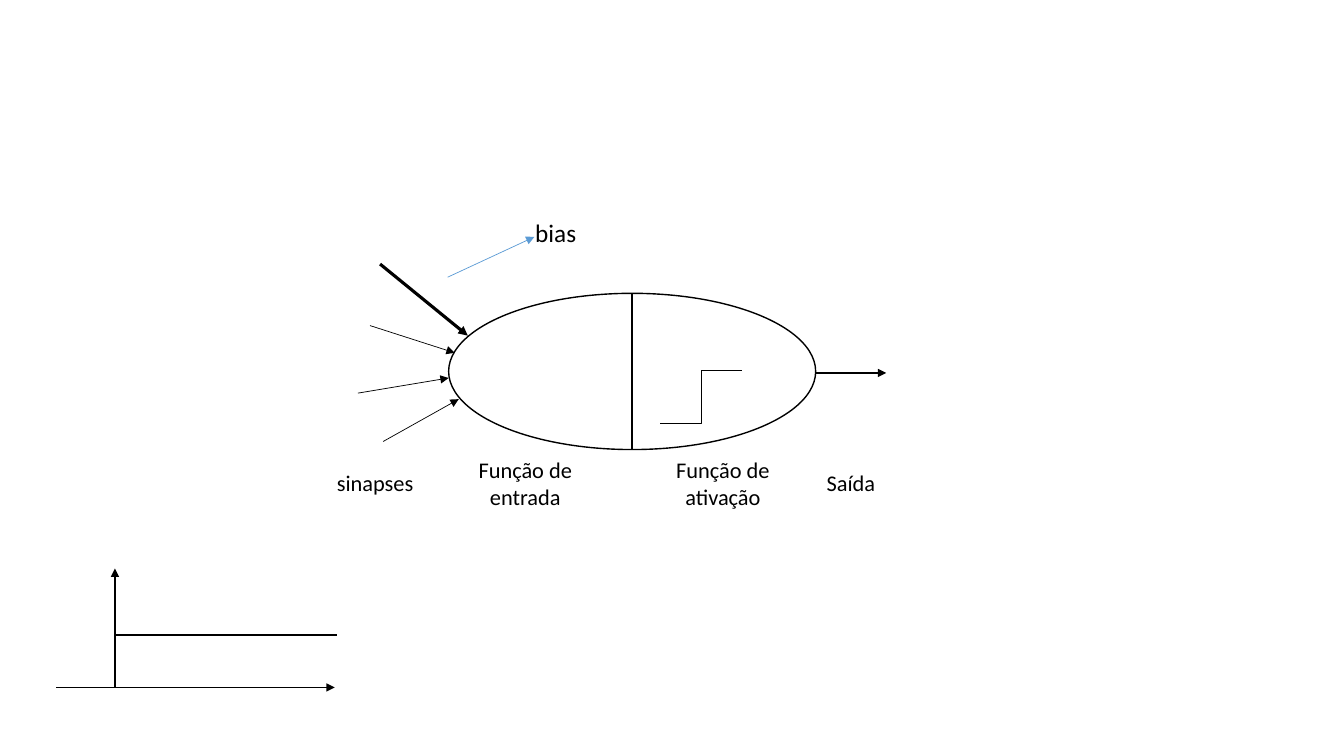
from pptx import Presentation
from pptx import util as u
from pptx.dml.color import RGBColor
from pptx.enum import shapes, text
from pptx.oxml.ns import qn
from lxml import etree

WIDE, HIGH = u.Inches(13.33), u.Inches(7.5)
CELL = HIGH / 75
BLACK, BLUE = "000000", "5B9BD5"
LINE, ELBOW = shapes.MSO_CONNECTOR.STRAIGHT, shapes.MSO_CONNECTOR.ELBOW


def color(code):
    return RGBColor.from_string(code)


def place(box, col, row):
    return round((box[0] + col) * CELL), round((box[1] + row) * CELL)


def link(page, box, start, end, width, tip=True, tint=BLACK, kind=LINE):
    line = page.shapes.add_connector(kind, *place(box, *start), *place(box, *end))
    line.line.width = u.Pt(width)
    line.line.color.rgb = color(tint)
    if tip:
        etree.SubElement(line.line._get_or_add_ln(), qn("a:tailEnd"), type="triangle")
    etree.SubElement(line._element.spPr, qn("a:effectLst"))


def label(page, box, words, col, row, wide, high, size=16, align=text.PP_ALIGN.CENTER):
    frame = page.shapes.add_textbox(
        *place(box, col, row), round(wide * CELL), round(high * CELL)).text_frame
    frame.word_wrap = True
    frame.text = words
    para = frame.paragraphs[0]
    para.alignment = align
    font = para.runs[0].font
    font.name, font.size = "Calibri", u.Pt(size)
    font.color.rgb = color(BLACK)


def neuron(page, box):
    left, top, wide, high = 13.6, 8, 36.4, 15.5
    mid, base = left + wide / 2, top + high
    cell = page.shapes.add_shape(
        shapes.MSO_SHAPE.OVAL, *place(box, left, top),
        round(wide * CELL), round(high * CELL))
    cell.shadow.inherit = False
    cell.fill.background()
    cell.line.color.rgb = color(BLACK)
    cell.line.width = u.Pt(1)
    link(page, box, (mid, top), (mid, base), 1, tip=False)

    for words, col, row, span, tall in (
            ("Função de entrada", 12.6, 23.7, 17.2, 6.4),
            ("Função de ativação", 31.7, 23.7, 18.2, 6.4),
            ("Saída", 47.7, 25, 11.6, 3.7),
            ("sinapses", 0, 25, 12.6, 3.7)):
        label(page, box, words, col, row, span, tall)

    for start, end, width in (
            ((6.8, 5.1), (15.5, 12.2), 2.25),
            ((5.8, 11.2), (14.2, 13.9), 0.5),
            ((4.6, 17.9), (13.6, 16.4), 0.5),
            ((7.1, 22.7), (14.6, 18.5), 0.5),
            ((left + wide, 15.9), (57, 15.9), 1.5)):
        link(page, box, start, end, width)

    link(page, box, (34.6, 20.9), (42.7, 15.6), 0.5, tip=False, kind=ELBOW)
    link(page, box, (13.5, 6.4), (22.1, 2.4), 0.5, tint=BLUE)
    label(page, box, "bias", 21.2, 0, 7.8, 4, 18, text.PP_ALIGN.LEFT)


def graph(page, box):
    wide, high = box[2:]
    zero, level = 5.8, 6.6
    link(page, box, (zero, high), (zero, 0), 1)
    link(page, box, (0, high), (wide - 0.2, high), 1)
    link(page, box, (zero, level), (wide, level), 1, tip=False)


def main():
    deck = Presentation()
    deck.slide_width, deck.slide_height = WIDE, HIGH
    page = deck.slides.add_slide(deck.slide_layouts[6])
    neuron(page, (30.9, 21.1, 59.3, 30.1))
    graph(page, (5.6, 56.4, 27.8, 11.8))
    deck.save("out.pptx")


if __name__ == "__main__":
    main()
